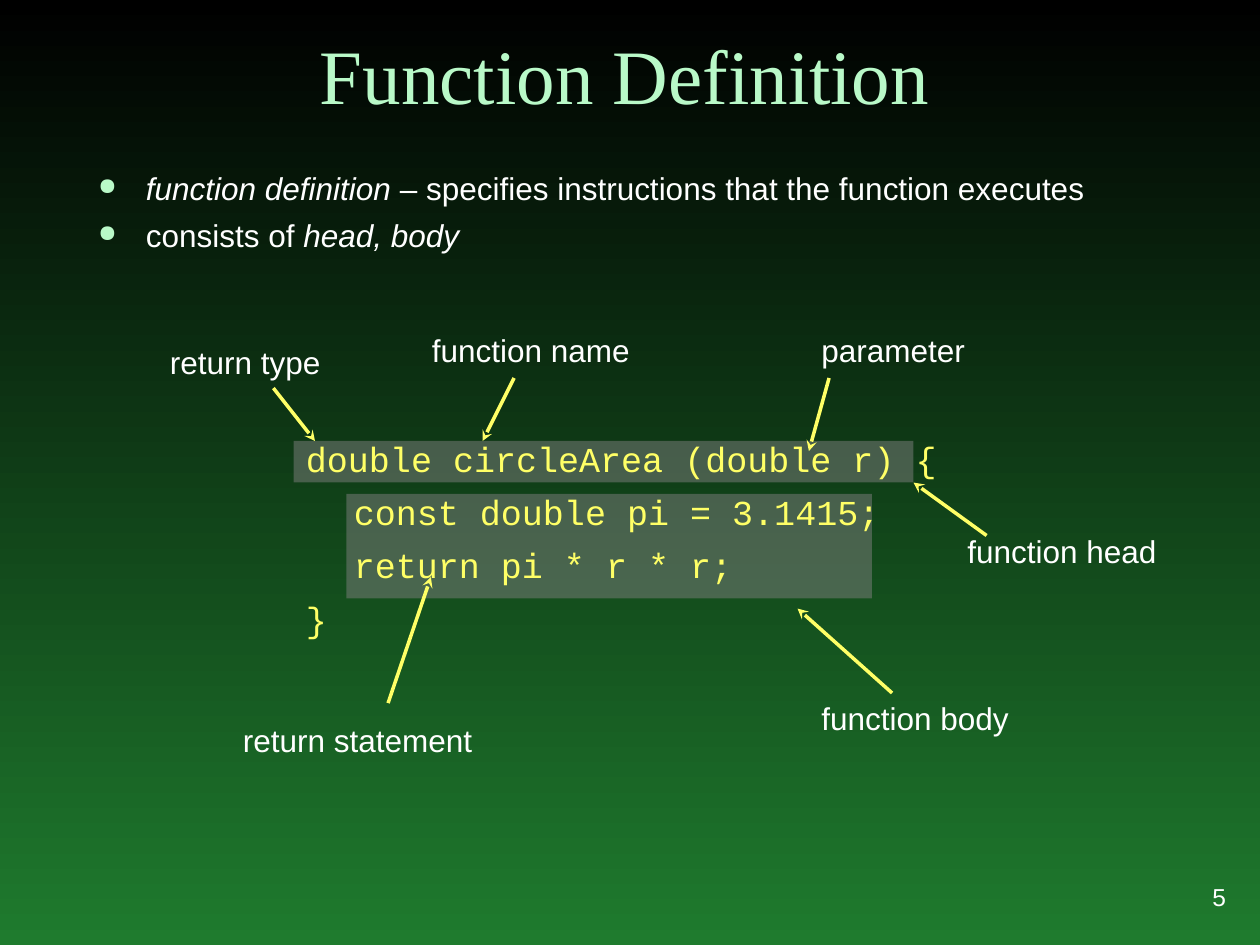
import pptx
import pptx.util
import pptx.dml.color
import pptx.enum.shapes
import pptx.enum.text
import pptx.oxml
import pptx.oxml.ns
from lxml import etree
from pptx.util import Inches

COLORS = {
    "top": "000000",
    "bottom": "1F7B2E",
    "accent": "B9F9C8",
    "text": "FFFFFF",
    "code": "FFFF66",
    "highlight": "808080",
}
ALIGN = pptx.enum.text.PP_ALIGN
ANCHOR = pptx.enum.text.MSO_ANCHOR


def rgb(name):
    return pptx.dml.color.RGBColor.from_string(COLORS[name])


def write_text(shape, paragraphs, size=18, font="Arial", color="text", align=ALIGN.LEFT,
               anchor=ANCHOR.TOP, space_before=0, indents=None, bullet=None):
    """Fill a shape; each paragraph is a list of (text, italic) runs, indents are (left, first line)."""
    frame = shape.text_frame
    frame.word_wrap = True
    frame.auto_size = pptx.enum.text.MSO_AUTO_SIZE.NONE
    frame.vertical_anchor = anchor
    for index, runs in enumerate(paragraphs):
        paragraph = frame.add_paragraph() if index else frame.paragraphs[0]
        paragraph.alignment = align
        paragraph.space_before = pptx.util.Pt(space_before)
        properties = paragraph._p.get_or_add_pPr()
        if indents:
            left, first = indents[index]
            properties.set("marL", str(Inches(left)))
            properties.set("indent", str(Inches(first)))
        if bullet:
            bullet_color = etree.SubElement(properties, pptx.oxml.ns.qn("a:buClr"))
            etree.SubElement(bullet_color, pptx.oxml.ns.qn("a:srgbClr"), val=COLORS["accent"])
            etree.SubElement(properties, pptx.oxml.ns.qn("a:buSzPct"), val="75000")
            etree.SubElement(properties, pptx.oxml.ns.qn("a:buChar"), char=bullet)
        for text, italic in runs:
            run = paragraph.add_run()
            run.text = text
            run.font.size = pptx.util.Pt(size)
            run.font.name = font
            run.font.italic = italic
            run.font.color.rgb = rgb(color)


presentation = pptx.Presentation()
presentation.slide_width, presentation.slide_height = Inches(10), Inches(7.5)
slide = presentation.slides.add_slide(presentation.slide_layouts[5])
shapes = slide.shapes

background = slide.background.fill
background.gradient()
background.gradient_angle = 270
for stop, name, position in zip(background.gradient_stops, ("top", "bottom"), (0, 1)):
    stop.color.rgb = rgb(name)
    stop.position = position

title = shapes.title
title.left, title.top, title.width, title.height = map(Inches, (0.67, 0.25, 8.58, 0.75))
write_text(title, [[("Function Definition", False)]], size=44, font="Times New Roman",
           color="accent", align=ALIGN.CENTER, anchor=ANCHOR.BOTTOM)

# Highlights behind the function body and the function head
for box in ((2.75, 3.92, 4.17, 0.83), (2.33, 3.5, 4.92, 0.33)):
    highlight = shapes.add_shape(pptx.enum.shapes.MSO_SHAPE.RECTANGLE, *map(Inches, box))
    highlight.shadow.inherit = False
    highlight.line.fill.background()
    highlight.fill.solid()
    highlight.fill.fore_color.rgb = rgb("highlight")
    fill_color = highlight._element.spPr.find(".//" + pptx.oxml.ns.qn("a:srgbClr"))
    etree.SubElement(fill_color, pptx.oxml.ns.qn("a:alpha"), val="50000")

definition = shapes.add_textbox(Inches(0.68), Inches(1.29), Inches(8.83), Inches(1))
write_text(definition, [
    [("function definition ", True),
     ("– specifies instructions that the function executes", False)],
    [("consists of", False), (" head, body", True)],
], space_before=5.5, indents=[(0.38, -0.38)] * 2, bullet="●")

# Label, left, top, width, arrow start, arrow end
callouts = [
    ("return type", 1.25, 2.67, 1.75, (2.17, 3.08), (2.5, 3.5)),
    ("function name", 3.33, 2.58, 2.5, (4.08, 3), (3.83, 3.5)),
    ("parameter", 6.42, 2.58, 1.5, (6.58, 3), (6.42, 3.58)),
    ("function head", 7.58, 4.17, 2.17, (7.83, 4.25), (7.25, 3.83)),
    ("function body", 6.42, 5.5, 2.5, (7.08, 5.5), (6.33, 4.83)),
    ("return statement", 1.83, 5.67, 2.5, (3.08, 5.58), (3.42, 4.58)),
]
for text, left, top, width, start, end in callouts:
    label = shapes.add_textbox(Inches(left), Inches(top), Inches(width), Inches(0.4))
    write_text(label, [[(text, False)]])
    arrow = shapes.add_connector(pptx.enum.shapes.MSO_CONNECTOR.STRAIGHT,
                                 *map(Inches, start + end))
    arrow.line.color.rgb = rgb("code")
    arrow.line.width = pptx.util.Pt(2)
    etree.SubElement(arrow.line._get_or_add_ln(), pptx.oxml.ns.qn("a:tailEnd"), type="stealth")
    etree.SubElement(arrow._element.spPr, pptx.oxml.ns.qn("a:effectLst"))

code = shapes.add_textbox(Inches(2.33), Inches(3.42), Inches(5.33), Inches(1.92))
code_lines = [
    ("double circleArea (double r) {", 0),
    ("const double pi = 3.1415;", 0.38),
    ("return pi * r * r;", 0.38),
    ("}", 0),
]
write_text(code, [[(text, False)] for text, _ in code_lines], size=20, font="Courier New",
           color="code", space_before=6.5, indents=[(left, 0) for _, left in code_lines])

slide_number = shapes.add_textbox(Inches(8.5), Inches(6.83), Inches(1.33), Inches(0.58))
write_text(slide_number, [[("5", False)]], size=14, align=ALIGN.RIGHT, anchor=ANCHOR.MIDDLE)

presentation.save("out.pptx")
